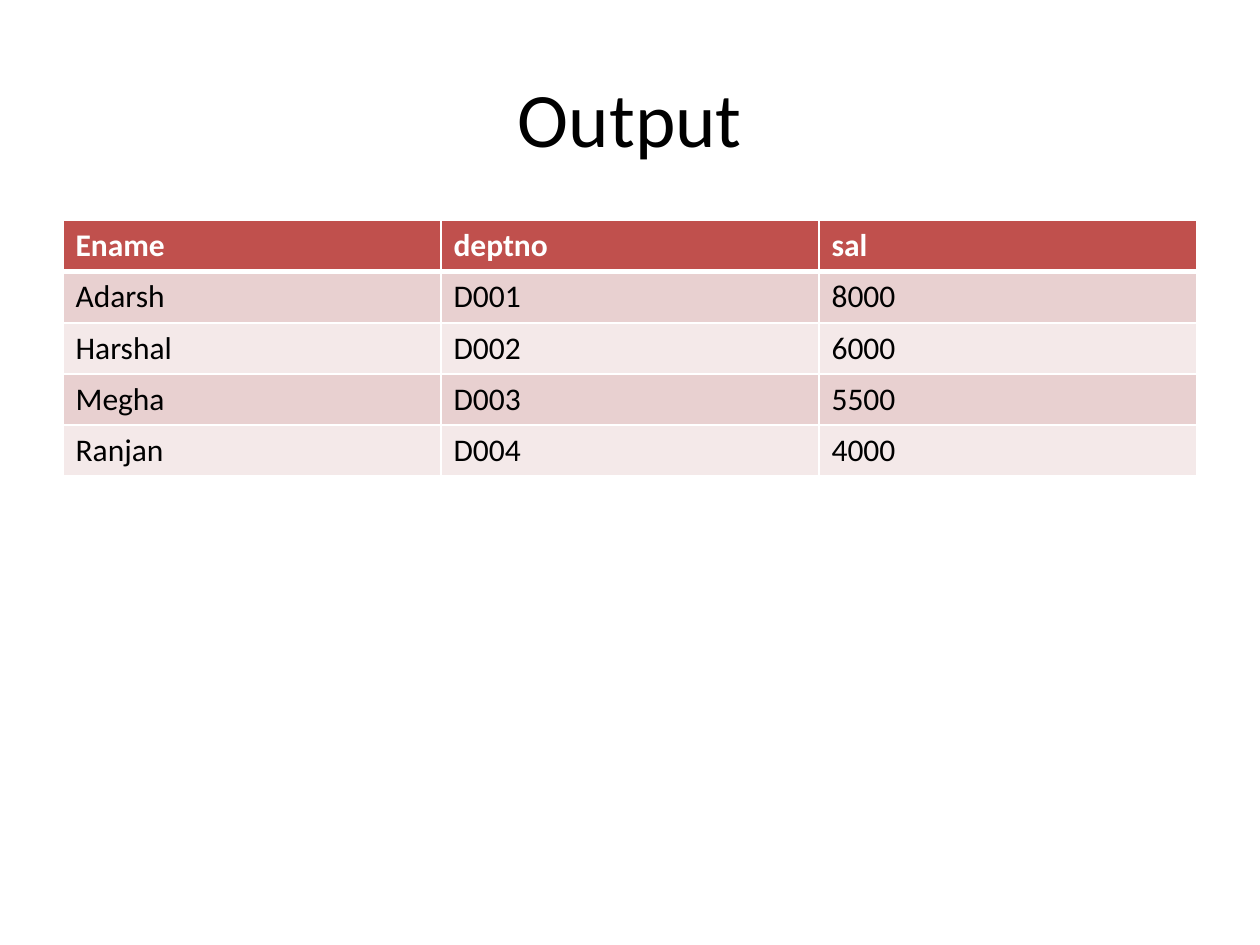
from lxml.etree import SubElement
from pptx import Presentation
from pptx.dml.color import RGBColor
from pptx.enum.text import MSO_ANCHOR, PP_ALIGN
from pptx.oxml.ns import qn
from pptx.util import Inches, Pt

TITLE = "Output"
ROWS = [
    ("Ename", "deptno", "sal"),
    ("Adarsh", "D001", "8000"),
    ("Harshal", "D002", "6000"),
    ("Megha", "D003", "5500"),
    ("Ranjan", "D004", "4000"),
]
HEADER_FILL = "C0504D"
BAND_FILLS = ("E8D0D0", "F4E9E9")
BORDER_COLOR = "FFFFFF"
TITLE_FORMAT = {"name": "Calibri", "size": Pt(44), "bold": False}
HEADER_FORMAT = {"name": "Calibri", "size": Pt(18), "bold": True}
BODY_FORMAT = {**HEADER_FORMAT, "bold": False}
LEFT, WIDTH = 0.5, 9
TABLE_TOP, TABLE_HEIGHT = 1.75, 2.03


def color(value):
    return RGBColor.from_string(value)


def write(text_frame, text, font_format, font_color):
    paragraph = text_frame.paragraphs[0]
    run = paragraph.add_run()
    run.text = text
    for name, value in font_format.items():
        setattr(run.font, name, value)
    run.font.color.rgb = color(font_color)
    return paragraph


def add_borders(cell, widths):
    """Draw the cell's sides, given as a dict of side letter to points."""
    properties = cell._tc.get_or_add_tcPr()
    for side, width in widths.items():
        line = SubElement(properties, qn(f"a:ln{side}"), w=str(Pt(width)))
        fill = SubElement(line, qn("a:solidFill"))
        SubElement(fill, qn("a:srgbClr"), val=BORDER_COLOR)


def add_title(slide):
    box = slide.shapes.add_textbox(
        Inches(LEFT), Inches(0.3), Inches(WIDTH), Inches(1.25))
    box.text_frame.word_wrap = True
    box.text_frame.vertical_anchor = MSO_ANCHOR.MIDDLE
    paragraph = write(box.text_frame, TITLE, TITLE_FORMAT, "000000")
    paragraph.alignment = PP_ALIGN.CENTER


def add_salary_table(slide):
    table = slide.shapes.add_table(
        len(ROWS), len(ROWS[0]), Inches(LEFT), Inches(TABLE_TOP),
        Inches(WIDTH), Inches(TABLE_HEIGHT)).table
    for row_index, row in enumerate(ROWS):
        is_header = row_index == 0
        fill = HEADER_FILL if is_header else BAND_FILLS[(row_index - 1) % 2]
        font_format = HEADER_FORMAT if is_header else BODY_FORMAT
        font_color = "FFFFFF" if is_header else "000000"
        borders = {"L": 1, "R": 1, "T": 3 if row_index == 1 else 1,
                   "B": 3 if is_header else 1}
        for column_index, text in enumerate(row):
            cell = table.cell(row_index, column_index)
            add_borders(cell, borders)
            cell.fill.solid()
            cell.fill.fore_color.rgb = color(fill)
            write(cell.text_frame, text, font_format, font_color)


def main():
    presentation = Presentation()
    presentation.slide_width = Inches(10)
    presentation.slide_height = Inches(7.5)
    slide = presentation.slides.add_slide(presentation.slide_layouts[6])
    add_title(slide)
    add_salary_table(slide)
    presentation.save("out.pptx")


if __name__ == "__main__":
    main()
